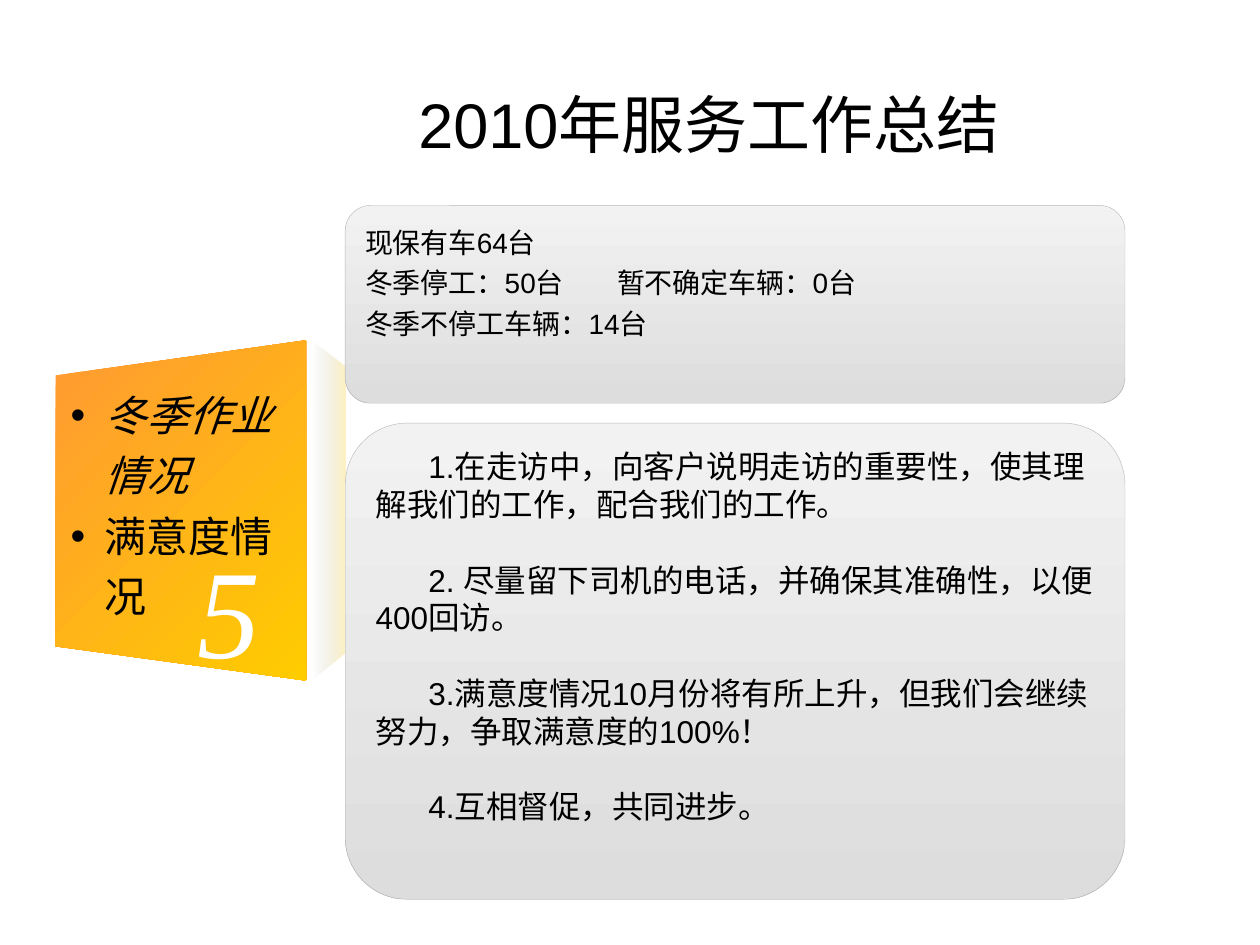
from lxml.etree import SubElement
from pptx import Presentation
from pptx.dml.color import RGBColor
from pptx.enum.shapes import MSO_SHAPE as Shape
from pptx.enum.text import MSO_ANCHOR as Anchor, MSO_AUTO_SIZE as AutoSize, PP_ALIGN as Align
from pptx.oxml.ns import qn
from pptx.util import Cm, Pt

BLACK = RGBColor(0x00, 0x00, 0x00)
WHITE = RGBColor(0xFF, 0xFF, 0xFF)
ORANGE = RGBColor(0xFF, 0x99, 0x33)
YELLOW = RGBColor(0xFF, 0xCC, 0x00)
DARK_GREY = RGBColor(0x5F, 0x5F, 0x5F)
EDGE_GREY = RGBColor(0x96, 0x96, 0x96)
PANEL_TOP = RGBColor(0xF2, 0xF2, 0xF2)
PANEL_BOTTOM = RGBColor(0xDD, 0xDD, 0xDD)
SANS, SERIF = "Arial", "Times New Roman"
PANEL_LEFT, PANEL_WIDTH = 6.96, 15.72


def set_values(target, values):
    for name, value in values.items():
        setattr(target, name, value)


def set_opacity(fill_element, percents):
    """Give each colour below the element its opacity, in order."""
    for color, percent in zip(fill_element.iter(qn("a:srgbClr")), percents):
        SubElement(color, qn("a:alpha")).set("val", str(percent * 1000))


class SlideBuilder:
    def __init__(self, page):
        self.page = page
        self.font = {"name": SANS, "color": BLACK, "bold": False, "italic": False}

    def place(self, box, left, top, width, height):
        set_values(box, {"left": Cm(left), "top": Cm(top),
                         "width": Cm(width), "height": Cm(height)})

    def add_lines(self, box, lines, layout=None, margin=0, indent=0, tab=None, **font):
        """Fill a box with lines, each a text or a text with its own font values."""
        frame = box.text_frame
        set_values(frame, {"word_wrap": True, "auto_size": AutoSize.NONE})
        for number, line in enumerate(lines):
            text, own = line if isinstance(line, tuple) else (line, {})
            para = frame.paragraphs[0] if number == 0 else frame.add_paragraph()
            set_values(para, {"alignment": Align.LEFT, "space_before": Pt(0), **(layout or {})})
            if number == 0:
                para.space_before = Pt(0)
            properties = para._p.get_or_add_pPr()
            properties.set("marL", str(Cm(margin)))
            properties.set("indent", str(Cm(indent)))
            if tab:
                stops = SubElement(properties, qn("a:tabLst"))
                SubElement(stops, qn("a:tab"), pos=str(Cm(tab)), algn="l")
            span = para.add_run()
            span.text = text
            values = {**self.font, **font, **own}
            span.font.color.rgb = values.pop("color")
            set_values(span.font, values)

    def gradient(self, shape, colors, angle, opacity=()):
        shape.shadow.inherit = False
        shape.fill.gradient()
        shape.fill.gradient_angle = angle
        for stop, color in zip(shape.fill.gradient_stops, colors):
            stop.color.rgb = color
        set_opacity(shape.element.spPr.find(qn("a:gradFill")), opacity)

    def title(self, text, place, **font):
        box = self.page.shapes.title
        self.place(box, *place)
        box.text_frame.vertical_anchor = Anchor.MIDDLE
        self.add_lines(box, [text], {"alignment": Align.CENTER}, **font)

    def bullets(self, lines, place, **style):
        box = self.page.placeholders[1]
        self.place(box, *place)
        self.page.shapes.element.append(box.element)  # bring in front of the sign
        self.add_lines(box, lines, margin=0.68, indent=-0.68, **style)

    def label(self, text, place, **font):
        box = self.page.shapes.add_textbox(*map(Cm, place))
        self.add_lines(box, [text], **font)

    def outline(self, points, colors, angle, opacity=()):
        start, *others = [(Cm(x), Cm(y)) for x, y in points]
        builder = self.page.shapes.build_freeform(*start)
        builder.add_line_segments(others, close=True)
        shape = builder.convert_to_shape()
        self.gradient(shape, colors, angle, opacity)
        shape.line.fill.background()

    def panel(self, top, height, lines, **style):
        box = self.page.shapes.add_shape(
            Shape.ROUNDED_RECTANGLE, Cm(PANEL_LEFT), Cm(top), Cm(PANEL_WIDTH), Cm(height))
        box.adjustments[0] = 0.13
        self.gradient(box, (PANEL_TOP, PANEL_BOTTOM), 270)
        box.line.color.rgb = EDGE_GREY
        box.line.width = Pt(0.25)
        set_opacity(box.element.spPr.find(qn("a:ln")), [61])
        box.text_frame.vertical_anchor = Anchor.TOP
        self.add_lines(box, lines, **style)


def main():
    deck = Presentation()
    deck.slide_width, deck.slide_height = Cm(25.4), Cm(19.05)
    slide = SlideBuilder(deck.slides.add_slide(deck.slide_layouts[1]))

    slide.title("2010年服务工作总结", (3.81, 0.89, 20.96, 3.18), size=Pt(36))

    slide.outline([(6.17, 6.86), (1.12, 7.57), (1.12, 13.03), (6.17, 13.72)],
                  (ORANGE, YELLOW), 315)
    slide.outline([(6.3, 13.69), (6.96, 13.13), (6.96, 7.39), (6.3, 6.86)],
                  (DARK_GREY, YELLOW), 0, opacity=(0, 25))
    slide.bullets([("冬季作业情况", {"italic": True}), "满意度情况"],
                  (1.17, 7.52, 4.98, 6.35), layout={"line_spacing": 1.2},
                  name=SERIF, size=Pt(24))
    slide.label("5", (3.73, 10.62, 2.36, 3.3),
                name=SERIF, size=Pt(72), color=WHITE, italic=True)

    slide.panel(4.14, 3.99, [
        "现保有车64台",
        "冬季停工：50台\t暂不确定车辆：0台",
        "冬季不停工车辆：14台",
    ], layout={"line_spacing": 1.2}, tab=4.78, size=Pt(16))
    slide.panel(8.53, 9.6, [
        "1.在走访中，向客户说明走访的重要性，使其理解我们的工作，配合我们的工作。",
        "2. 尽量留下司机的电话，并确保其准确性，以便400回访。",
        "3.满意度情况10月份将有所上升，但我们会继续努力，争取满意度的100%！",
        "4.互相督促，共同进步。",
    ], layout={"space_before": Pt(21.5)}, indent=1.06, size=Pt(18))

    deck.save("out.pptx")


if __name__ == "__main__":
    main()
